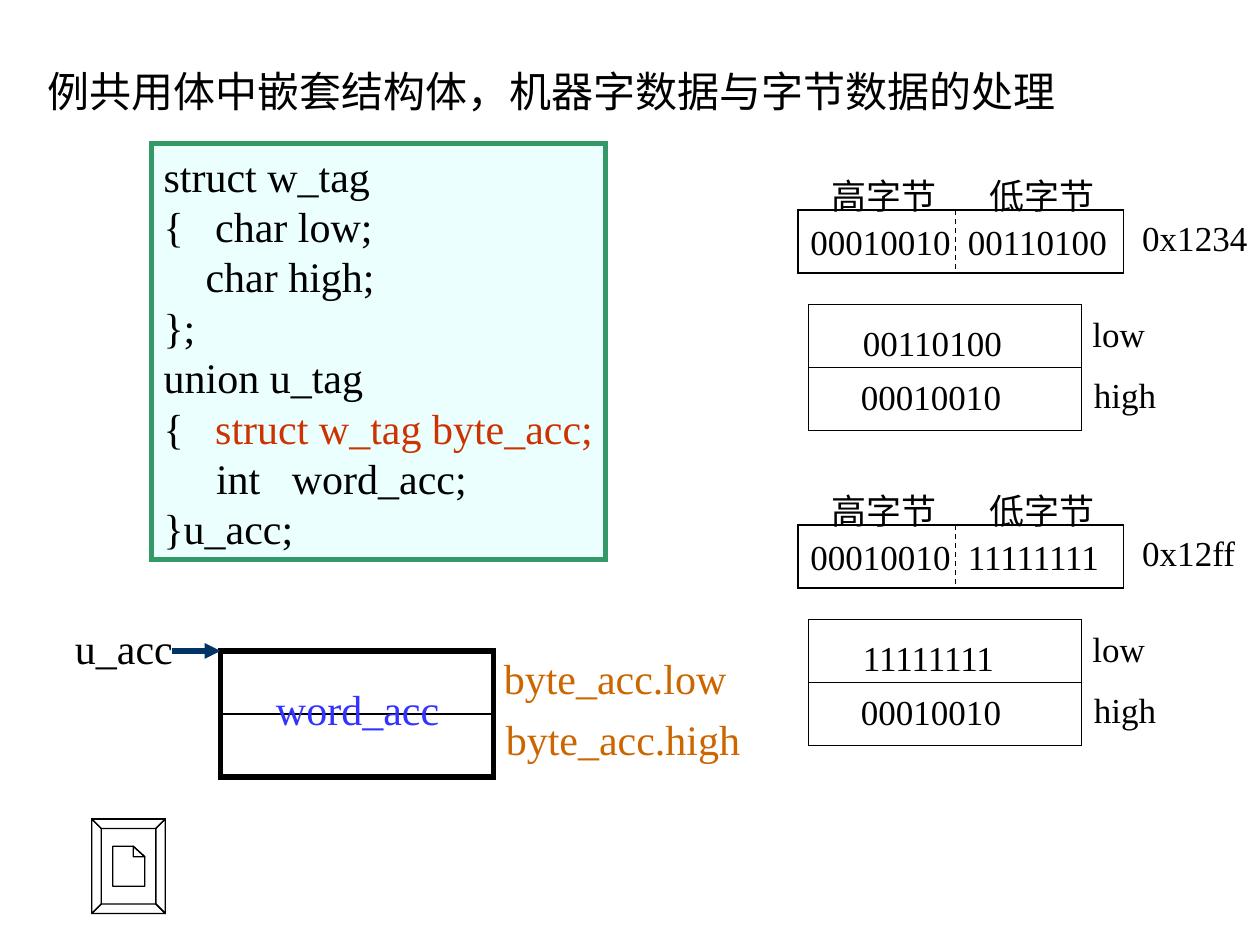
from typing import NamedTuple

from lxml.etree import SubElement
from pptx import Presentation
from pptx.dml.color import RGBColor
from pptx.enum.dml import MSO_LINE
from pptx.enum.shapes import MSO_CONNECTOR, MSO_SHAPE
from pptx.enum.text import MSO_ANCHOR, MSO_AUTO_SIZE, PP_ALIGN
from pptx.oxml.ns import qn
from pptx.util import Inches, Pt

BLACK = RGBColor(0, 0, 0)
WHITE = RGBColor(0xFF, 0xFF, 0xFF)
CYAN = RGBColor(0xEB, 0xFF, 0xFF)
GREEN = RGBColor(0x33, 0x99, 0x66)
RED = RGBColor(0xCC, 0x33, 0x00)
BLUE = RGBColor(0x33, 0x33, 0xFF)
ORANGE = RGBColor(0xCC, 0x66, 0x00)
NAVY = RGBColor(0x00, 0x33, 0x66)

FONT = "Times New Roman"
COLS, ROWS = 120, 90
THIN, THICK = 0.75, 3


class Label(NamedTuple):
    text: str
    col: float
    row: float
    wide: float
    size: int = 20
    color: RGBColor = BLACK
    align: PP_ALIGN = PP_ALIGN.LEFT


class Word(NamedTuple):
    high: str
    low: str
    value: str
    wide: float
    top: int


WORDS = [
    Word("00010010", "00110100", "0x1234", 12.4, 16),
    Word("00010010", "11111111", "0x12ff", 11.6, 46),
]

CODE = [
    [("struct w_tag", BLACK)],
    [("{   char low;", BLACK)],
    [("    char high;", BLACK)],
    [("};", BLACK)],
    [("union u_tag", BLACK)],
    [("{   ", BLACK), ("struct w_tag byte_acc;", RED)],
    [("     int   word_acc;", BLACK)],
    [("}u_acc;", BLACK)],
]

FIELDS = [
    Label("word_acc", 25.1, 64.55, 18.6, 24, BLUE),
    Label("byte_acc.low", 46.8, 61.55, 24, 24, ORANGE),
    Label("byte_acc.high", 47, 67.35, 25.2, 24, ORANGE),
    Label("u_acc", 5.6, 58.7, 12.4, 24, BLACK, PP_ALIGN.CENTER),
]

# Icon outlines, in columns and rows from its top left corner
ICON = [
    [(0, 0), (7, 0), (7, 9), (0, 9)],
    [(0, 0), (7, 0), (6.1, 0.9), (0.9, 0.9)],
    [(7, 0), (7, 9), (6.1, 8.1), (6.1, 0.9)],
    [(7, 9), (0, 9), (0.9, 8.1), (6.1, 8.1)],
    [(0, 9), (0, 0), (0.9, 0.9), (0.9, 8.1)],
    [(2, 2.6), (3.95, 2.6), (5.05, 3.6), (5.05, 6.4), (2, 6.4)],
    [(3.95, 2.6), (5.05, 3.6), (3.95, 3.6)],
]


def grid(*cells: float) -> list[int]:
    """Turn grid cells, twelve to the inch, into slide lengths."""
    return [Inches(cell / 12) for cell in cells]


def add_run(para, text: str, size: int, color: RGBColor) -> None:
    run = para.add_run()
    run.text = text
    run.font.name = FONT
    run.font.size = Pt(size)
    run.font.color.rgb = color


def add_label(shapes, label: Label, top: float = 0) -> None:
    high = label.size / 4
    area = grid(label.col, label.row + top, label.wide, high)
    frame = shapes.add_textbox(*area).text_frame
    frame.word_wrap = False
    frame.auto_size = MSO_AUTO_SIZE.SHAPE_TO_FIT_TEXT
    para = frame.paragraphs[0]
    para.alignment = label.align
    add_run(para, label.text, label.size, label.color)


def add_box(shapes, area: tuple, width: float = THIN,
            color: RGBColor = BLACK, fill: RGBColor | None = None):
    box = shapes.add_shape(MSO_SHAPE.RECTANGLE, *grid(*area))
    box.shadow.inherit = False
    if fill is None:
        box.fill.background()
    else:
        box.fill.solid()
        box.fill.fore_color.rgb = fill
    box.line.color.rgb = color
    box.line.width = Pt(width)
    SubElement(box.line._get_or_add_ln(), qn("a:miter"), lim="800000")
    frame = box.text_frame
    frame.word_wrap = False
    frame.vertical_anchor = MSO_ANCHOR.MIDDLE
    frame.paragraphs[0].alignment = PP_ALIGN.LEFT
    return box


def add_line(shapes, ends: tuple, width: float = THIN, color: RGBColor = BLACK):
    line = shapes.add_connector(MSO_CONNECTOR.STRAIGHT, *grid(*ends))
    line.line.color.rgb = color
    line.line.width = Pt(width)
    SubElement(line._element.spPr, qn("a:effectLst"))
    return line


def add_cells(shapes, col: float, row: float, width: float = THIN) -> None:
    """Draw a box of two stacked bytes."""
    add_box(shapes, (col, row, 26, 12), width)
    add_line(shapes, (col, row + 6, col + 26, row + 6))


def add_word(shapes, word: Word) -> None:
    """Draw a machine word and, under it, its two bytes."""
    top = word.top
    box = add_box(shapes, (76, top + 4, 31, 6))
    para = box.text_frame.paragraphs[0]
    tabs = SubElement(para._p.get_or_add_pPr(), qn("a:tabLst"))
    SubElement(tabs, qn("a:tab"), pos=str(Inches(1.25)), algn="l")
    add_run(para, f"{word.high}\t{word.low}", 20, BLACK)
    split = add_line(shapes, (91, top + 4, 91, top + 10))
    split.line.dash_style = MSO_LINE.DASH
    add_cells(shapes, 77, top + 13)
    for label in (
        Label("低字节", 93.05, 0, 12.8),
        Label("高字节", 78, 0, 12.8),
        Label(word.low, 81, 14, 16.2),
        Label(word.high, 80.8, 19.15, 16.2),
        Label("low", 102.85, 13.15, 7.8),
        Label("high", 103, 19, 8.8),
        Label(word.value, 107.6, 4, word.wide),
    ):
        add_label(shapes, label, top)


def add_code(shapes) -> None:
    box = add_box(shapes, (14.4, 13.7, 43.3, 39.6), THICK, GREEN, CYAN)
    frame = box.text_frame
    for place, line in enumerate(CODE):
        para = frame.add_paragraph() if place else frame.paragraphs[0]
        para.alignment = PP_ALIGN.LEFT
        for text, color in line:
            add_run(para, text, 24, color)


def add_union(shapes) -> None:
    add_cells(shapes, 21, 62, THICK)
    for field in FIELDS:
        add_label(shapes, field)
    arrow = add_line(shapes, (16.4, 62, 21, 62), THICK, NAVY)
    SubElement(arrow.line._get_or_add_ln(), qn("a:tailEnd"), type="triangle")


def add_icon(shapes, col: float, row: float) -> None:
    loops = [[grid(col + x, row + y) for x, y in loop] for loop in ICON]
    pen = shapes.build_freeform(*loops[0][0])
    for loop in loops:
        pen.move_to(*loop[0])
        pen.add_line_segments(loop[1:], close=True)
    icon = pen.convert_to_shape()
    icon.shadow.inherit = False
    icon.fill.solid()
    icon.fill.fore_color.rgb = WHITE
    icon.line.color.rgb = BLACK
    icon.line.width = Pt(THIN)


def main() -> None:
    deck = Presentation()
    deck.slide_width, deck.slide_height = grid(COLS, ROWS)
    shapes = deck.slides.add_slide(deck.slide_layouts[6]).shapes
    add_icon(shapes, 8.75, 78)
    title = "例共用体中嵌套结构体，机器字数据与字节数据的处理"
    add_label(shapes, Label(title, 3.35, 5.65, 100.2, 24))
    for word in WORDS:
        add_word(shapes.add_group_shape().shapes, word)
    add_code(shapes)
    add_union(shapes.add_group_shape().shapes)
    deck.save("out.pptx")


if __name__ == "__main__":
    main()
